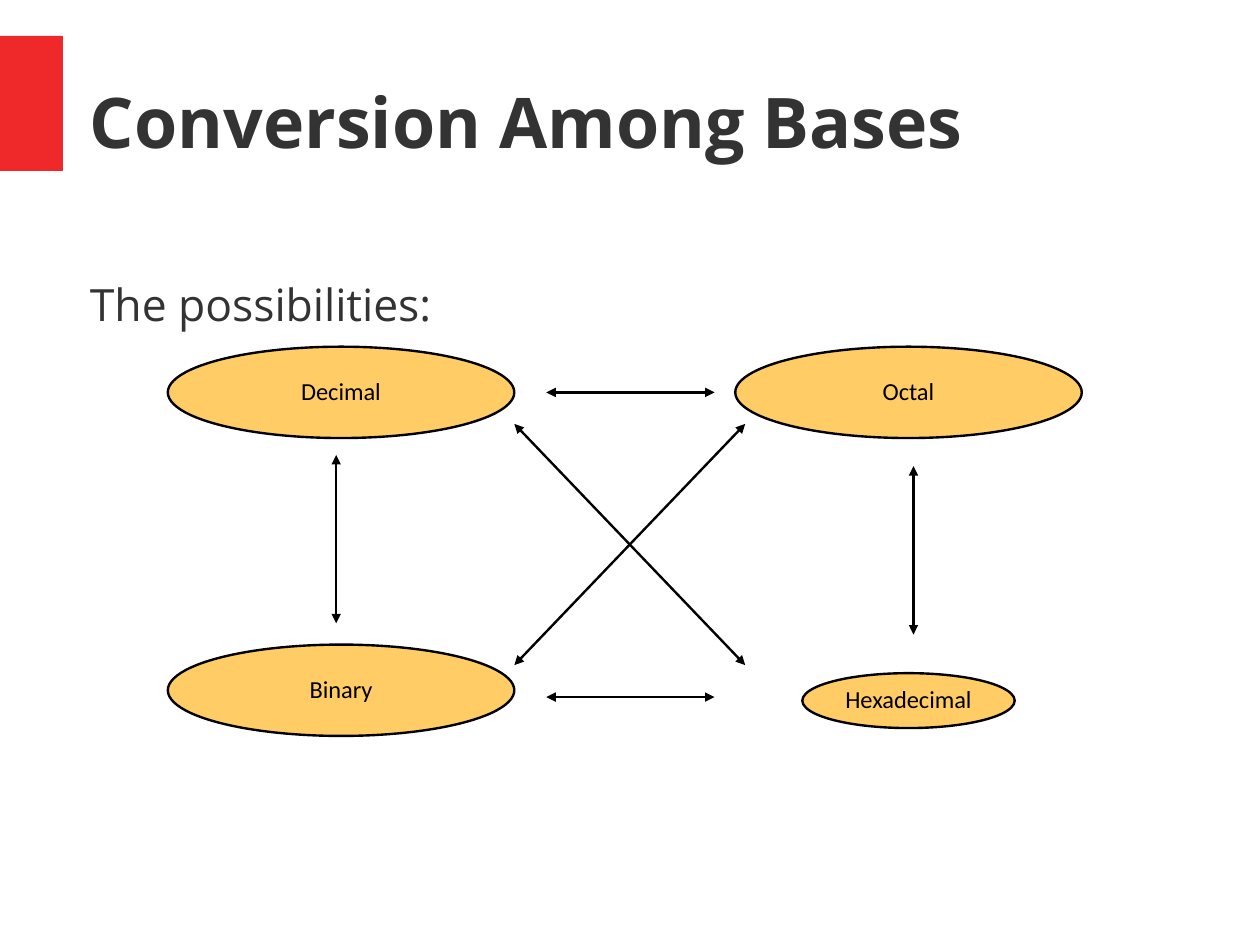
from lxml.etree import SubElement
from pptx import Presentation
from pptx.dml.color import RGBColor
from pptx.enum.shapes import MSO_CONNECTOR, MSO_SHAPE
from pptx.enum.text import MSO_ANCHOR, PP_ALIGN
from pptx.oxml.ns import qn
from pptx.util import Cm, Pt

RED = RGBColor(0xEF, 0x29, 0x29)
DARK_GRAY = RGBColor(0x33, 0x33, 0x33)
AMBER = RGBColor(0xFF, 0xCC, 0x66)
BLACK = RGBColor(0, 0, 0)

deck = Presentation()
deck.slide_width, deck.slide_height = Cm(28), Cm(21)
page = deck.slides.add_slide(deck.slide_layouts[6])


def write(shape, text, font, size, color, spacing, bold=False):
    para = shape.text_frame.paragraphs[0]
    para.text = text
    para.line_spacing = spacing
    span = para.runs[0]
    span.font.name = font
    span.font.size = Pt(size)
    span.font.bold = bold
    span.font.color.rgb = color
    return para


accent = page.shapes.add_shape(MSO_SHAPE.RECTANGLE, 0, Cm(0.8), Cm(1.4), Cm(3))
accent.shadow.inherit = False
accent.fill.solid()
accent.fill.fore_color.rgb = RED
accent.line.fill.background()

# Title and lead-in: text, top, width, height, size, bold, anchor
for text, top, width, height, size, bold, anchor in (
    ("Conversion Among Bases", 0.84, 24.56, 3.45, 44, True, MSO_ANCHOR.MIDDLE),
    ("The possibilities:", 6, 23.95, 12.14, 28, False, MSO_ANCHOR.TOP),
):
    box = page.shapes.add_textbox(Cm(2), Cm(top), Cm(width), Cm(height))
    frame = box.text_frame
    frame.word_wrap = True
    frame.vertical_anchor = anchor
    frame.margin_left = frame.margin_top = frame.margin_right = frame.margin_bottom = 0
    write(box, text, "Open Sans", size, DARK_GRAY, 1.13, bold)

# Number bases: name, centre x, centre y, width, height
for name, x, y, width, height in (
    ("Hexadecimal", 20.19, 15.57, 4.72, 1.22),
    ("Decimal", 7.58, 8.72, 7.7, 2.03),
    ("Octal", 20.19, 8.72, 7.7, 2.03),
    ("Binary", 7.58, 15.34, 7.7, 2.03),
):
    base = page.shapes.add_shape(
        MSO_SHAPE.OVAL, Cm(x - width / 2), Cm(y - height / 2), Cm(width), Cm(height)
    )
    base.shadow.inherit = False
    base.fill.solid()
    base.fill.fore_color.rgb = AMBER
    base.line.color.rgb = BLACK
    base.line.width = Pt(1.5)
    base.text_frame.word_wrap = False
    base.text_frame.vertical_anchor = MSO_ANCHOR.MIDDLE
    write(base, name, "Calibri", 15.4, BLACK, 0.93).alignment = PP_ALIGN.CENTER

# Conversions: begin x, begin y, end x, end y
for ends in (
    (11.43, 14.78, 16.56, 9.42),
    (16.56, 14.78, 11.43, 9.42),
    (20.3, 14.1, 20.3, 10.36),
    (7.47, 13.85, 7.47, 10.11),
    (12.14, 8.72, 15.88, 8.72),
    (12.14, 15.49, 15.88, 15.49),
):
    arrow = page.shapes.add_connector(MSO_CONNECTOR.STRAIGHT, *map(Cm, ends))
    arrow.line.color.rgb = BLACK
    arrow.line.width = Pt(1.5)
    outline = arrow.line._get_or_add_ln()
    for tag in ("a:headEnd", "a:tailEnd"):
        SubElement(outline, qn(tag), type="triangle")
    SubElement(arrow._element.spPr, qn("a:effectLst"))

deck.save("out.pptx")
